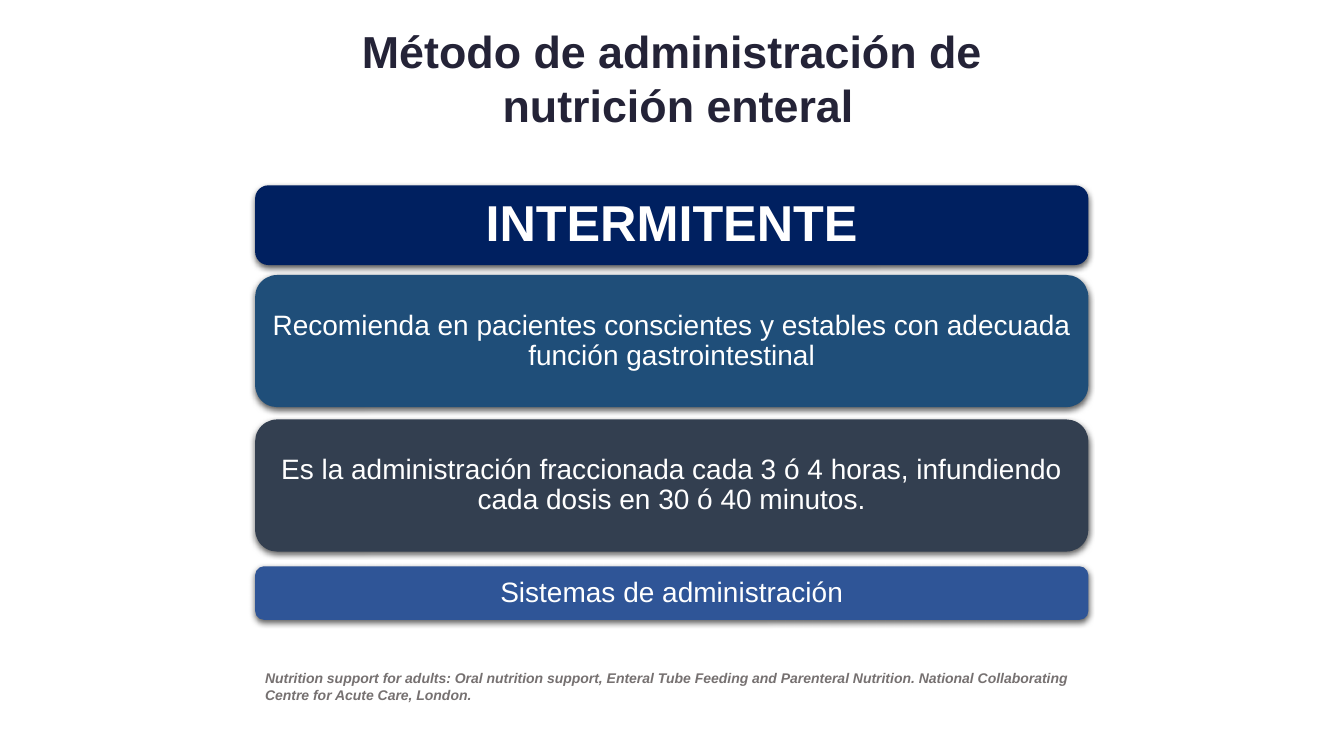
"""Build the slide on intermittent enteral feeding."""
from dataclasses import dataclass

from lxml.etree import SubElement as Sub
from pptx import Presentation as Deck
from pptx.dml.color import RGBColor as Rgb
from pptx.enum.shapes import MSO_SHAPE as Form
from pptx.enum.text import MSO_ANCHOR as Anchor, MSO_AUTO_SIZE as Fit, PP_ALIGN as Align
from pptx.oxml.ns import qn
from pptx.util import Cm, Pt


@dataclass(frozen=True)
class Theme:
    font: str = "Arial"
    ink: str = "242337"
    white: str = "FFFFFF"
    gray: str = "767171"
    black: str = "000000"
    navy: str = "002060"
    teal: str = "1F4E79"
    slate: str = "333F50"
    blue: str = "2F5597"
    title: int = 32
    head: int = 36
    body: int = 20
    note: int = 10


class Page:
    def __init__(self, slide, theme):
        self.slide = slide
        self.theme = theme

    def label(self, para, text, size, color, bold=False, slant=False):
        run = para.add_run()
        run.text = text
        font = run.font
        font.name, font.size = self.theme.font, Pt(size)
        font.bold, font.italic = bold, slant
        font.color.rgb = Rgb.from_string(color)

    def title(self, lines, left, top, width, height):
        box = self.slide.shapes.title
        box.left, box.top, box.width, box.height = map(Cm, (left, top, width, height))
        frame = box.text_frame
        frame.auto_size = Fit.NONE
        frame.vertical_anchor = Anchor.MIDDLE
        for i, line in enumerate(lines):
            para = frame.add_paragraph() if i else frame.paragraphs[0]
            para.alignment = Align.CENTER
            self.label(para, line, self.theme.title, self.theme.ink, bold=True)

    def shade(self, shape):
        shape.shadow.inherit = False
        props = shape.element.spPr
        glow = Sub(props.find(qn("a:effectLst")), qn("a:outerShdw"),
                   blurRad=str(Pt(4.5)), dist=str(Pt(1.5)), dir="5400000",
                   algn="ctr", rotWithShape="0")
        tone = Sub(glow, qn("a:srgbClr"), val=self.theme.black)
        Sub(tone, qn("a:alpha"), val="63000")

    def panel(self, text, top, height, fill, size, pad, bold=False):
        shape = self.slide.shapes.add_shape(
            Form.ROUNDED_RECTANGLE, Cm(6.43), Cm(top), Cm(21), Cm(height))
        shape.fill.solid()
        shape.fill.fore_color.rgb = Rgb.from_string(fill)
        shape.line.fill.background()
        self.shade(shape)
        frame = shape.text_frame
        frame.word_wrap = True
        frame.vertical_anchor = Anchor.MIDDLE
        frame.margin_left = frame.margin_right = Cm(pad)
        frame.margin_top = frame.margin_bottom = Cm(pad)
        para = frame.paragraphs[0]
        para.alignment = Align.CENTER
        para.line_spacing = 0.9
        self.label(para, text, size, self.theme.white, bold)

    def note(self, text, left, top, width, height):
        box = self.slide.shapes.add_textbox(*map(Cm, (left, top, width, height)))
        frame = box.text_frame
        frame.word_wrap = True
        self.label(frame.paragraphs[0], text, self.theme.note, self.theme.gray,
                   bold=True, slant=True)


def main():
    deck = Deck()
    deck.slide_width, deck.slide_height = Cm(33.87), Cm(19.05)
    look = Theme()
    page = Page(deck.slides.add_slide(deck.slide_layouts[5]), look)
    page.title(["Método de administración de", " nutrición enteral"], 1.24, 0.46, 31.4, 3)
    page.panel("INTERMITENTE", 4.67, 2.01, look.navy, look.head, 0.38, bold=True)
    for text, top, height, fill in (
        ("Recomienda en pacientes conscientes y estables con adecuada "
         "función gastrointestinal", 6.93, 3.33, look.teal),
        ("Es la administración fraccionada cada 3 ó 4 horas, infundiendo "
         "cada dosis en 30 ó 40 minutos.", 10.57, 3.33, look.slate),
        ("Sistemas de administración", 14.27, 1.35, look.blue),
    ):
        page.panel(text, top, height, fill, look.body, 0.2)
    page.note("Nutrition support for adults: Oral nutrition support, Enteral Tube Feeding "
              "and Parenteral Nutrition. National Collaborating Centre for Acute Care, "
              "London.", 6.43, 16.74, 21, 1.55)
    deck.save("out.pptx")


if __name__ == "__main__":
    main()
